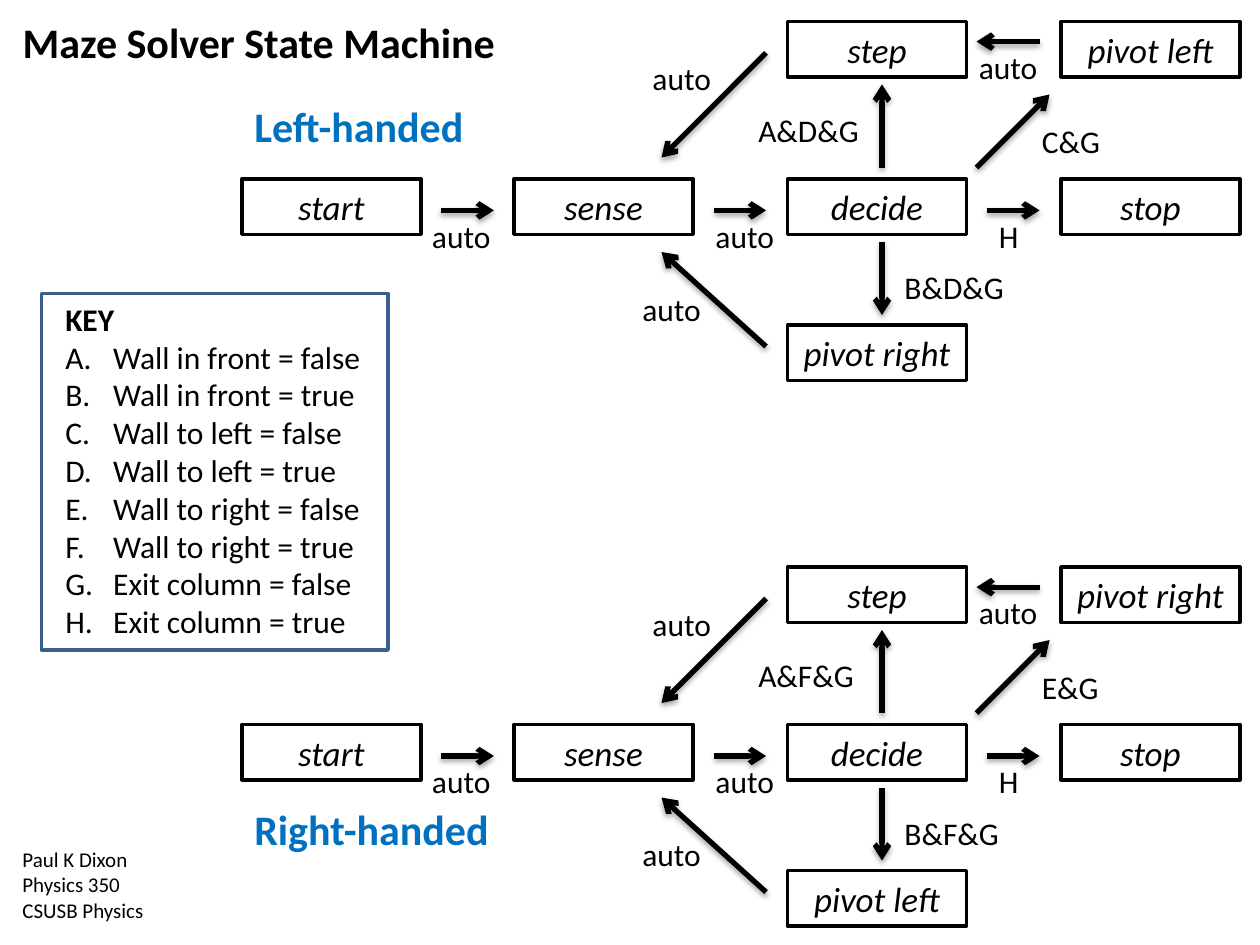
from pptx import Presentation
from pptx.dml.color import RGBColor
from pptx.enum.shapes import MSO_CONNECTOR as CONN, MSO_SHAPE as SHAPE
from pptx.enum.text import MSO_ANCHOR as ANCHOR, MSO_AUTO_SIZE as AUTO, PP_ALIGN as ALIGN
from pptx.oxml import parse_xml
from pptx.oxml.ns import nsdecls
from pptx.util import Inches, Pt

BLACK, BLUE, KEY_BLUE = "000000", "0070C0", "3A5F8C"
SHADOW = (
    f'<a:effectLst {nsdecls("a")}><a:outerShdw blurRad="40000" dist="23000" dir="5400000" '
    'rotWithShape="0"><a:srgbClr val="000000"><a:alpha val="35000"/></a:srgbClr>'
    '</a:outerShdw></a:effectLst>'
)


def rgb(value):
    return RGBColor.from_string(value)


class Diagram:
    font = "Calibri"
    box_size = (1.42, 0.44)

    def __init__(self, slide):
        self.slide = slide
        self.shapes = slide.shapes

    def set_text(self, sp, lines, size, color=BLACK, align=ALIGN.LEFT,
                 anchor=ANCHOR.TOP, wrap=True, **style):
        tf = sp.text_frame
        tf.text = "\n".join(lines)
        frame = {"word_wrap": wrap, "auto_size": AUTO.SHAPE_TO_FIT_TEXT,
                 "vertical_anchor": anchor}
        for name, value in frame.items():
            setattr(tf, name, value)
        for p in tf.paragraphs:
            p.alignment = align
            for r in p.runs:
                for name, value in {"name": self.font, "size": Pt(size), **style}.items():
                    setattr(r.font, name, value)
                r.font.color.rgb = rgb(color)
        return sp

    def title(self, text, x, y, w, h):
        sp = self.slide.shapes.title
        for name, value in {"left": x, "top": y, "width": w, "height": h}.items():
            setattr(sp, name, Inches(value))
        self.set_text(sp, [text], 24, bold=True)

    def text(self, lines, x, y, w, h, size=18, **style):
        sp = self.shapes.add_textbox(Inches(x), Inches(y), Inches(w), Inches(h))
        return self.set_text(sp, lines, size, **style)

    def rect(self, x, y, w, h, color=BLACK):
        sp = self.shapes.add_shape(SHAPE.RECTANGLE, Inches(x), Inches(y), Inches(w), Inches(h))
        sp.shadow.inherit = False
        sp.fill.background()
        sp.line.color.rgb = rgb(color)
        sp.line.width = Pt(2)
        return sp

    def state(self, text, x, y):
        sp = self.rect(x, y, *self.box_size)
        self.set_text(sp, [text], 20, align=ALIGN.CENTER, anchor=ANCHOR.MIDDLE, italic=True)

    def arrow(self, x1, y1, x2, y2):
        sp = self.shapes.add_connector(CONN.STRAIGHT, Inches(x1), Inches(y1),
                                       Inches(x2), Inches(y2))
        sp.line.color.rgb = rgb(BLACK)
        sp.line.width = Pt(3)
        spPr = sp._element.spPr
        spPr.ln.append(parse_xml(f'<a:tailEnd {nsdecls("a")} type="arrow"/>'))
        spPr.append(parse_xml(SHADOW))

    def key(self, heading, items, x, y, w, h):
        sp = self.text([heading, *items], x, y, w, h, wrap=False)
        for i, p in enumerate(sp.text_frame.paragraphs):
            p.runs[0].font.bold = i == 0
            pPr = p._p.get_or_add_pPr()
            pPr.set("marL", str(Inches(0.38)))
            pPr.set("indent", str(-Inches(0.38)))
            if i:
                pPr.append(parse_xml(f'<a:buAutoNum {nsdecls("a")} type="alphaUcPeriod"/>'))

    def machine(self, top, side, other, turn, forward, blocked):
        self.shapes = self.slide.shapes.add_group_shape().shapes
        columns = [1.92, 4.08, 6.25, 8.42]
        upper, middle, lower = 0.17, 1.42, 2.58
        for text, col, y in [
            ("start", 0, middle), ("sense", 1, middle), ("decide", 2, middle),
            ("stop", 3, middle), ("step", 2, upper), (side, 3, upper), (other, 2, lower),
        ]:
            self.state(text, columns[col], top + y)
        for x1, y1, x2, y2 in [
            (3.5, 1.67, 3.92, 1.67), (5.67, 1.67, 6.08, 1.67), (7.83, 1.67, 8.25, 1.67),
            (7, 1.33, 7, 0.67), (7, 1.92, 7, 2.5), (7.75, 1.33, 8.33, 0.75),
            (8.25, 0.33, 7.75, 0.33), (6.08, 0.42, 5.25, 1.25), (6.08, 2.75, 5.25, 2),
        ]:
            self.arrow(x1, top + y1, x2, top + y2)
        for text, x, y, w in [
            ("auto", 3.33, 1.67, 0.67), ("auto", 5.58, 1.67, 0.67), ("H", 7.83, 1.67, 0.36),
            ("auto", 7.67, 0.33, 0.67), ("auto", 5.08, 0.42, 0.67), ("auto", 5, 2.25, 0.67),
            (turn, 8.17, 0.92, 0.67), (forward, 5.92, 0.83, 1), (blocked, 7.08, 2.08, 1),
        ]:
            self.text([text], x, top + y, w, 0.4, wrap=False)
        self.shapes = self.slide.shapes


prs = Presentation()
prs.slide_width, prs.slide_height = Inches(10), Inches(7.5)
s = prs.slides.add_slide(prs.slide_layouts[5])
d = Diagram(s)

d.title("Maze Solver State Machine", 0.08, 0.08, 4.03, 0.5)
d.text(["Paul K Dixon", "Physics 350", "CSUSB Physics"], 0.08, 6.67, 1.17, 0.71, size=12)
d.text(["Left-handed"], 1.92, 0.75, 1.92, 0.5, size=24, color=BLUE, bold=True)
d.text(["Right-handed"], 1.92, 6.33, 2.08, 0.5, size=24, color=BLUE, bold=True)

facts = [f"{fact} = {value}"
         for fact in ("Wall in front", "Wall to left", "Wall to right", "Exit column")
         for value in ("false", "true")]
d.key("KEY", facts, 0.42, 2.33, 2.57, 2.83)
d.rect(0.33, 2.33, 2.75, 2.83, KEY_BLUE)

d.machine(0, "pivot left", "pivot right", "C&G", "A&D&G", "B&D&G")
d.machine(4.33, "pivot right", "pivot left", "E&G", "A&F&G", "B&F&G")

prs.save("out.pptx")
